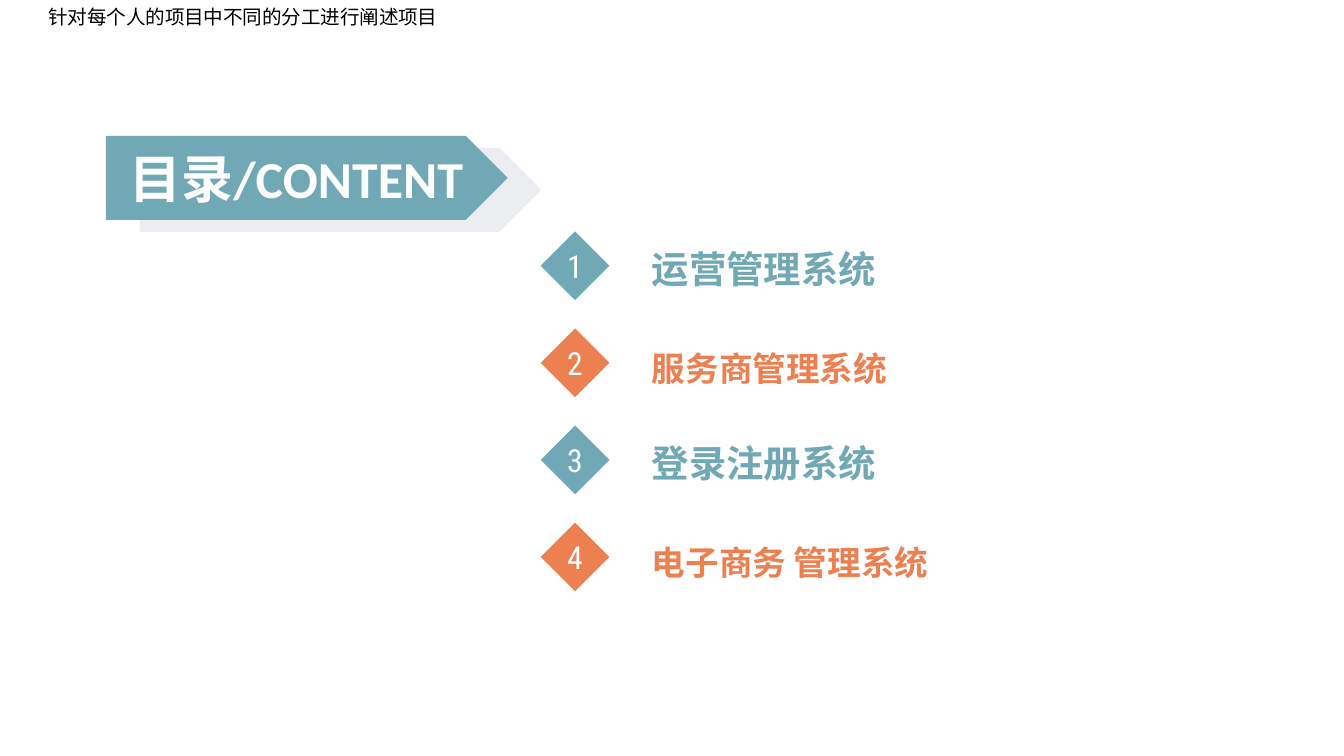
from lxml import etree
from pptx import Presentation
from pptx.dml.color import RGBColor
from pptx.enum.shapes import MSO_SHAPE
from pptx.enum.text import MSO_ANCHOR, MSO_AUTO_SIZE, PP_ALIGN
from pptx.oxml.ns import qn
from pptx.util import Pt

PENTAGON = MSO_SHAPE.PENTAGON
DIAMOND = MSO_SHAPE.DIAMOND
MIDDLE, BOTTOM = MSO_ANCHOR.MIDDLE, MSO_ANCHOR.BOTTOM
LEFT, CENTER = PP_ALIGN.LEFT, PP_ALIGN.CENTER
FIT_SHAPE = MSO_AUTO_SIZE.SHAPE_TO_FIT_TEXT

TEAL = RGBColor(0x70, 0xA9, 0xB5)
ORANGE = RGBColor(0xED, 0x80, 0x50)
SLATE = RGBColor(0x77, 0x84, 0x95)
WHITE = RGBColor(0xFF, 0xFF, 0xFF)
BLACK = RGBColor(0, 0, 0)

ITEMS = [
    ("运营管理系统", TEAL, 20),
    ("服务商管理系统", ORANGE, 18),
    ("登录注册系统", TEAL, 20),
    ("电子商务 管理系统", ORANGE, 18),
]


def set_attributes(target, values):
    """Set each named attribute of the target."""
    for name, value in values.items():
        setattr(target, name, value)


def add_filled_shape(shapes, kind, box, color):
    """Add a flat shape without outline or shadow."""
    shape = shapes.add_shape(kind, *map(Pt, box))
    shape.shadow.inherit = False
    shape.fill.solid()
    shape.fill.fore_color.rgb = color
    shape.line.fill.background()
    return shape


def write_text(shape, text, color, size, font="Calibri", bold=False, align=LEFT, **frame):
    """Write one formatted paragraph into the shape."""
    set_attributes(shape.text_frame, frame)
    paragraph = shape.text_frame.paragraphs[0]
    paragraph.alignment = align
    run = paragraph.add_run()
    run.text = text
    set_attributes(run.font, {"name": font, "size": Pt(size), "bold": bold})
    run.font.color.rgb = color
    return paragraph


def add_title_banner(slide, left, top, width, height):
    """Add the arrow-shaped title with its pale offset copy behind."""
    shapes = slide.shapes.add_group_shape().shapes
    shade = add_filled_shape(shapes, PENTAGON, (left + 18, top + 6.4, width, height), SLATE)
    color = shade.fill._xPr.find(qn("a:solidFill"))[0]
    etree.SubElement(color, qn("a:alpha"), val="14000")
    banner = add_filled_shape(shapes, PENTAGON, (left, top, width, height), TEAL)
    write_text(banner, "目录/CONTENT", WHITE, 27.8, bold=True, align=CENTER,
               vertical_anchor=MIDDLE)


def add_contents(slide, left, top, pitch, side):
    """Add the numbered entries one below the other."""
    insets = {"margin_left": 0, "margin_top": 0, "margin_right": 0, "margin_bottom": 0}
    for index, (label, color, size) in enumerate(ITEMS):
        row_top = top + index * pitch
        shapes = slide.shapes.add_group_shape().shapes
        marker = add_filled_shape(shapes, DIAMOND, (left, row_top, side, side), color)
        write_text(marker, str(index + 1), WHITE, 17, font="Roboto Condensed", align=CENTER,
                   vertical_anchor=MIDDLE, word_wrap=False, **insets)
        box = shapes.add_textbox(Pt(left + 31.5), Pt(row_top + 5.8), Pt(234), Pt(26))
        write_text(box, label, color, size, bold=True, vertical_anchor=BOTTOM,
                   word_wrap=False, **{**insets, "margin_left": Pt(28)})


def add_top_note(slide, left, top, width, height):
    """Add the small remark at the top edge."""
    box = slide.shapes.add_textbox(Pt(left), Pt(top), Pt(width), Pt(height))
    paragraph = write_text(box, "针对每个人的项目中不同的分工进行阐述项目", BLACK, 10.5,
                           word_wrap=True, auto_size=FIT_SHAPE)
    paragraph._p.get_or_add_pPr().set("indent", str(Pt(21)))


def main():
    """Build and save the contents slide."""
    presentation = Presentation()
    set_attributes(presentation, {"slide_width": Pt(720), "slide_height": Pt(405)})
    slide = presentation.slides.add_slide(presentation.slide_layouts[6])
    add_title_banner(slide, 56.8, 72.8, 215.2, 45)
    add_contents(slide, 289.7, 124, 52, 36.8)
    add_top_note(slide, -2.2, -0.8, 400, 20)
    presentation.save("out.pptx")


if __name__ == "__main__":
    main()
